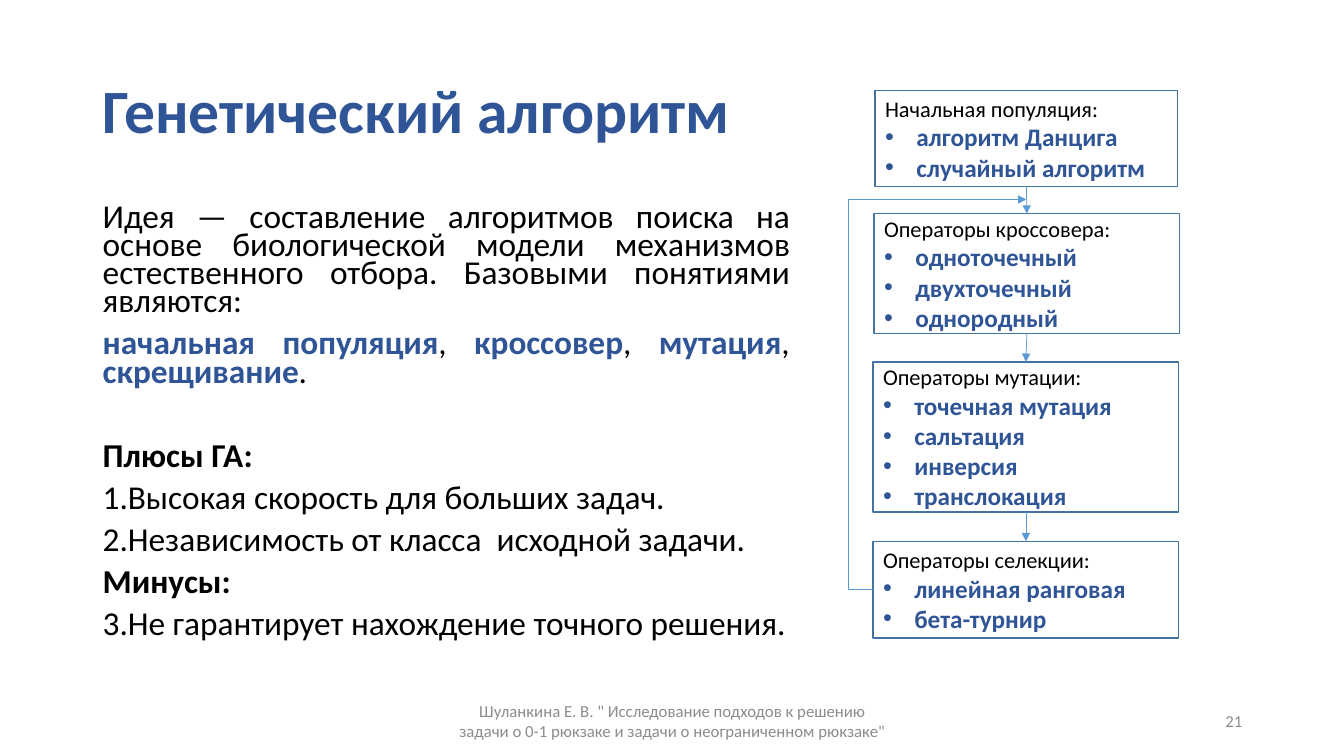
from dataclasses import dataclass
from typing import Any

from lxml import etree
from pptx import Presentation
from pptx.dml.color import RGBColor
from pptx.enum.shapes import MSO_CONNECTOR, MSO_SHAPE
from pptx.enum.text import MSO_ANCHOR, MSO_AUTO_SIZE, PP_ALIGN
from pptx.oxml.ns import qn
from pptx.util import Inches, Pt

LEFT, CENTER, RIGHT, JUSTIFY = PP_ALIGN.LEFT, PP_ALIGN.CENTER, PP_ALIGN.RIGHT, PP_ALIGN.JUSTIFY
TOP, MIDDLE = MSO_ANCHOR.TOP, MSO_ANCHOR.MIDDLE
NO_AUTOFIT = MSO_AUTO_SIZE.NONE
RECT, STRAIGHT = MSO_SHAPE.RECTANGLE, MSO_CONNECTOR.STRAIGHT
BLUE, BLACK, GRAY, WHITE = "2F5597", "000000", "8C8C8C", "FFFFFF"
BORDER, ARROW = "43739E", "5B9BD5"
BODY_SIZE = 23.8


@dataclass
class Run:
    text: str
    size: float = BODY_SIZE
    color: str = BLACK
    bold: bool = False


@dataclass
class Para:
    runs: list[Run]
    align: Any = LEFT
    spacing: float = 1.0
    before: float = 0
    bullet: str = ""
    number: int = 0
    indent: float = 0


@dataclass
class Stage:
    left: float
    top: float
    width: float
    height: float
    heading: str
    operators: list[str]


STAGES = [
    Stage(8.68, 0.9, 3, 0.95, "Начальная популяция:", ["алгоритм Данцига", "случайный алгоритм"]),
    Stage(8.67, 2.12, 3.03, 1.19, "Операторы кроссовера:",
          ["одноточечный", "двухточечный", "однородный"]),
    Stage(8.66, 3.59, 3.03, 1.49, "Операторы мутации:",
          ["точечная мутация", "сальтация", "инверсия", "транслокация"]),
    Stage(8.66, 5.37, 3.03, 0.96, "Операторы селекции:", ["линейная ранговая", "бета-турнир"]),
]
LOOP = [(8.66, 5.85), (8.41, 5.85), (8.41, 1.98), (10.18, 1.98)]
FOOTER = ('Шуланкина Е. В. " Исследование подходов к решению '
          'задачи о 0-1 рюкзаке и задачи о неограниченном рюкзаке"')


def rgb(value: str) -> RGBColor:
    return RGBColor.from_string(value)


def set_attrs(target: Any, values: dict[str, Any]) -> None:
    for name, value in values.items():
        setattr(target, name, value)


def write_text(sp: Any, paras: list[Para], anchor: Any = TOP) -> None:
    tf = sp.text_frame
    set_attrs(tf, {"word_wrap": True, "auto_size": NO_AUTOFIT, "vertical_anchor": anchor})
    for i, para in enumerate(paras):
        p = tf.add_paragraph() if i else tf.paragraphs[0]
        set_attrs(p, {"alignment": para.align, "line_spacing": para.spacing,
                      "space_before": Pt(para.before)})
        if para.indent:
            pPr = p._p.get_or_add_pPr()
            pPr.set("marL", str(Inches(para.indent)))
            pPr.set("indent", str(-Inches(para.indent)))
            if para.bullet:
                etree.SubElement(pPr, qn("a:buFont"), typeface="Arial")
                etree.SubElement(pPr, qn("a:buChar"), char=para.bullet)
            else:
                etree.SubElement(pPr, qn("a:buAutoNum"), type="arabicPeriod",
                                 startAt=str(para.number))
        for run in para.runs:
            r = p.add_run()
            r.text = run.text
            set_attrs(r.font, {"name": "Calibri", "size": Pt(run.size), "bold": run.bold})
            r.font.color.rgb = rgb(run.color)


def add_text(s: Any, box: tuple, paras: list[Para], anchor: Any = TOP) -> None:
    write_text(s.shapes.add_textbox(*map(Inches, box)), paras, anchor)


def style_arrow(sp: Any) -> None:
    sp.line.color.rgb = rgb(ARROW)
    sp.line.width = Pt(0.5)
    etree.SubElement(sp.line._get_or_add_ln(), qn("a:tailEnd"), type="triangle")


def add_stage(s: Any, stage: Stage) -> Any:
    box = (stage.left, stage.top, stage.width, stage.height)
    sp = s.shapes.add_shape(RECT, *map(Inches, box))
    sp.shadow.inherit = False
    sp.fill.solid()
    sp.fill.fore_color.rgb = rgb(WHITE)
    sp.line.color.rgb = rgb(BORDER)
    sp.line.width = Pt(1)
    items = [Para([Run(name, 18, BLUE, True)], bullet="•", indent=0.31)
             for name in stage.operators]
    write_text(sp, [Para([Run(stage.heading, 16)]), *items], MIDDLE)
    return sp


def add_arrow(s: Any, upper: Any, lower: Any) -> None:
    connector = s.shapes.add_connector(STRAIGHT, 0, 0, 0, 0)
    connector.begin_connect(upper, 2)
    connector.end_connect(lower, 0)
    style_arrow(connector)
    etree.SubElement(connector._element.spPr, qn("a:effectLst"))


def add_loop(s: Any, points: list[tuple[float, float]]) -> None:
    start, *rest = [(Inches(x), Inches(y)) for x, y in points]
    builder = s.shapes.build_freeform(*start)
    builder.add_line_segments(rest, close=False)
    sp = builder.convert_to_shape()
    sp.fill.background()
    style_arrow(sp)
    sp.shadow.inherit = False


def body_para(runs: list[Run], align: Any = LEFT, before: float = 10, number: int = 0) -> Para:
    return Para(runs, align, 0.7, before, number=number, indent=0.25 if number else 0)


def body_paras() -> list[Para]:
    idea = ("Идея — составление алгоритмов поиска на основе биологической модели "
            "механизмов естественного отбора. Базовыми понятиями являются:")
    concepts = []
    for term, mark in [("начальная популяция", ","), (" кроссовер", ","),
                       (" мутация", ","), (" скрещивание", ".")]:
        concepts += [Run(term, color=BLUE, bold=True), Run(mark)]
    return [
        body_para([Run(idea)], JUSTIFY),
        body_para(concepts, JUSTIFY),
        body_para([Run("Плюсы ГА:", bold=True)], before=40.3),
        body_para([Run("Высокая скорость для больших задач.")], number=1),
        body_para([Run("Независимость от класса  исходной задачи.")], number=2),
        body_para([Run("Минусы:", bold=True)]),
        body_para([Run("Не гарантирует нахождение точного решения.")], number=3),
    ]


def main() -> None:
    prs = Presentation()
    set_attrs(prs, {"slide_width": Inches(13.33), "slide_height": Inches(7.5)})
    s = prs.slides.add_slide(prs.slide_layouts[5])
    title = s.shapes.title
    set_attrs(title, {"left": Inches(0.92), "top": Inches(0.4),
                      "width": Inches(11.5), "height": Inches(1.45)})
    write_text(title, [Para([Run("Генетический алгоритм", 44, BLUE, True)], spacing=0.9)], MIDDLE)
    add_text(s, (0.92, 2, 7.01, 4.76), body_paras())
    add_text(s, (4.42, 6.95, 4.5, 0.4), [Para([Run(FOOTER, 12, GRAY)], CENTER)], MIDDLE)
    add_text(s, (9.42, 6.95, 3, 0.4), [Para([Run("21", 12, GRAY)], RIGHT)], MIDDLE)
    boxes = [add_stage(s, stage) for stage in STAGES]
    add_loop(s, LOOP)
    for upper, lower in zip(boxes, boxes[1:]):
        add_arrow(s, upper, lower)
    prs.save("out.pptx")


if __name__ == "__main__":
    main()
